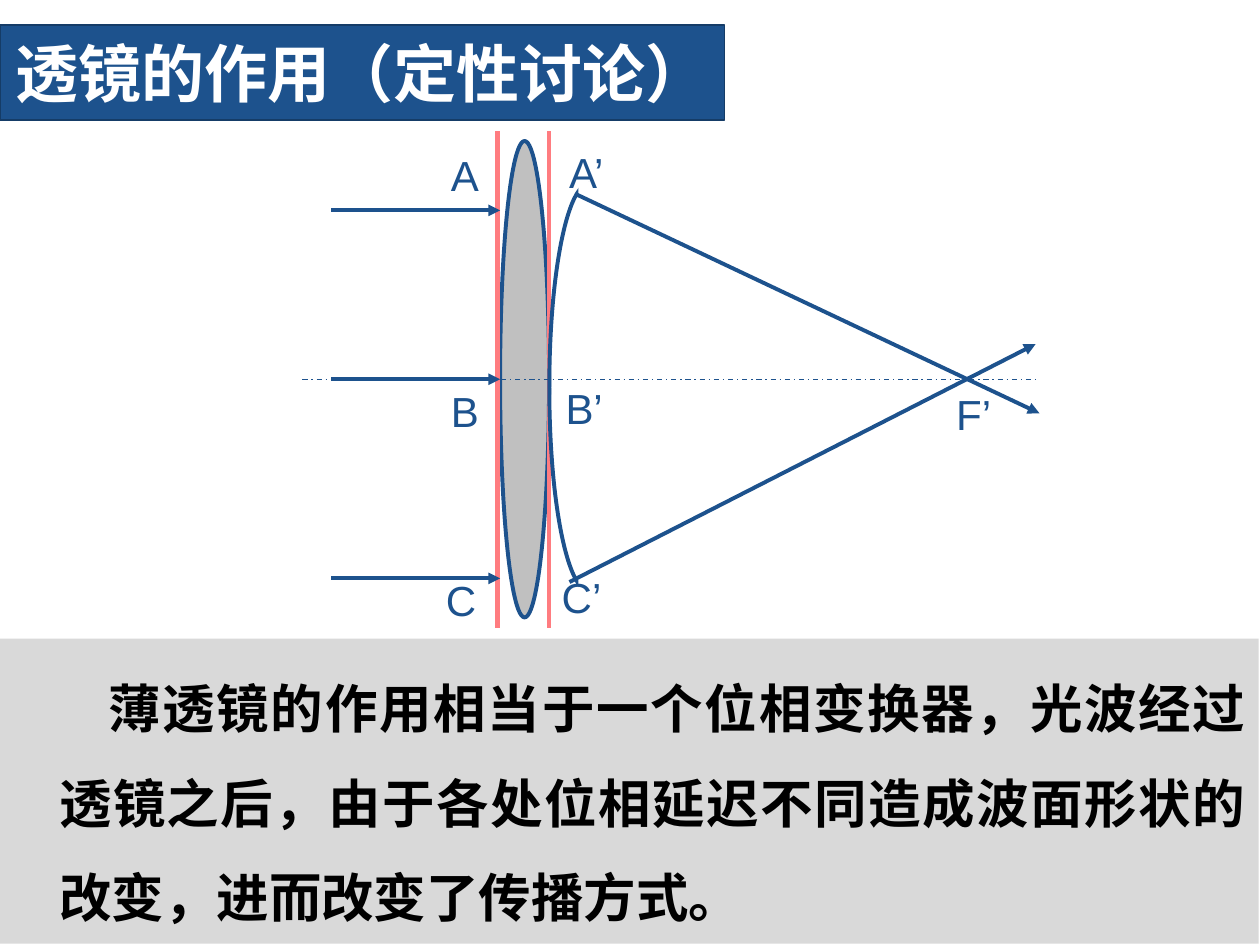
from dataclasses import dataclass
from typing import Optional

import lxml.etree
import pptx
import pptx.dml.color
import pptx.enum.dml
import pptx.enum.shapes
import pptx.enum.text
import pptx.oxml.ns
import pptx.util

Pt = pptx.util.Pt
qn = pptx.oxml.ns.qn
Align = pptx.enum.text.PP_ALIGN
Anchor = pptx.enum.text.MSO_ANCHOR
Preset = pptx.enum.shapes.MSO_SHAPE


@dataclass(frozen=True)
class Theme:
    blue: str = "1D528D"
    title_edge: str = "153C67"
    pink: str = "FF7C80"
    lens: str = "C0C0C0"
    panel: str = "D9D9D9"
    white: str = "FFFFFF"
    black: str = "000000"
    heading_font: str = "DejaVu Sans"
    label_font: str = "Arial"
    title_size: float = 36
    body_size: float = 30
    label_size: float = 24
    stroke: float = 2.25


@dataclass(frozen=True)
class Box:
    left: float
    top: float
    width: float
    height: float

    def lengths(self) -> tuple:
        return Pt(self.left), Pt(self.top), Pt(self.width), Pt(self.height)


@dataclass(frozen=True)
class Line:
    start: tuple[float, float]
    end: tuple[float, float]
    color: str
    width: float = 2.25
    arrow: bool = False
    dashed: bool = False


@dataclass(frozen=True)
class Label:
    text: str
    box: Box


THEME = Theme()
AXIS_Y = 216.7
EDGE_TOP, EDGE_BOTTOM = 75, 358.6
RAY_START, RAY_END = 189.4, 285.8

TITLE_BOX = Box(0, 14.4, 414, 54)
BODY_BOX = Box(-0.7, 365, 720, 174.2)
LENS = Box(285.8, 80.6, 28, 272.2)
WAVEFRONT = Box(313.9, 105.1, 45.4, 232.6)
WAVEFRONT_COVER = Box(330.5, 103.7, 48.2, 260.6)

PLANES = [
    Line((x, EDGE_TOP), (x, EDGE_BOTTOM), THEME.pink, width)
    for x, width in ((284.4, 3), (313.9, 2.25))
]
INCOMING = [
    Line((RAY_START, y), (RAY_END, y), THEME.blue, arrow=True)
    for y in (120.2, AXIS_Y, 330.5)
]
OUTGOING = [
    Line((172.8, AXIS_Y), (591.8, AXIS_Y), THEME.blue, 0.75, dashed=True),
    Line((329, 110.9), (594, 236.2), THEME.blue, arrow=True),
    Line((325.4, 332.6), (591.8, 196.6), THEME.blue, arrow=True),
]
LABELS = [
    Label("A", Box(250.6, 82.1, 30.2, 36)),
    Label("C", Box(247.7, 324.7, 31.7, 36)),
    Label("B", Box(250.6, 216.7, 30.2, 36)),
    Label("A’", Box(318.2, 79.9, 35.3, 36)),
    Label("C’", Box(313.9, 323.3, 37.4, 36)),
    Label("B’", Box(316.1, 215.3, 36, 36)),
    Label("F’", Box(539.3, 218.2, 34.6, 36)),
]


def rgb(color: str) -> pptx.dml.color.RGBColor:
    return pptx.dml.color.RGBColor.from_string(color)


def set_attributes(target, values: dict) -> None:
    for name, value in values.items():
        setattr(target, name, value)


def paint(shape, fill: Optional[str], edge: Optional[str], width: float = THEME.stroke) -> None:
    if fill:
        shape.fill.solid()
        shape.fill.fore_color.rgb = rgb(fill)
    else:
        shape.fill.background()
    if edge:
        shape.line.color.rgb = rgb(edge)
        shape.line.width = Pt(width)
    else:
        shape.line.fill.background()


def write(shape, text: str, font: str, size: float, color: str, bold: bool,
          frame_format: dict, para_format: dict) -> None:
    frame = shape.text_frame
    set_attributes(frame, frame_format)
    para = frame.paragraphs[0]
    set_attributes(para, para_format)
    span = para.add_run()
    span.text = text
    set_attributes(span.font, {"name": font, "size": Pt(size), "bold": bold})
    span.font.color.rgb = rgb(color)
    east_asian = lxml.etree.SubElement(span.font._element, qn("a:ea"))
    east_asian.set("typeface", font)


def add_preset(shapes, preset, box: Box, fill: Optional[str], edge: Optional[str] = None):
    shape = shapes.add_shape(preset, *box.lengths())
    shape.shadow.inherit = False
    paint(shape, fill, edge)
    return shape


def add_line(shapes, line: Line) -> None:
    connector = shapes.add_connector(
        pptx.enum.shapes.MSO_CONNECTOR.STRAIGHT,
        *(Pt(value) for value in line.start + line.end))
    connector.line.color.rgb = rgb(line.color)
    connector.line.width = Pt(line.width)
    if line.dashed:
        connector.line.dash_style = pptx.enum.dml.MSO_LINE.DASH_DOT
    properties = connector._element.spPr
    if line.arrow:
        lxml.etree.SubElement(properties.find(qn("a:ln")), qn("a:tailEnd"), type="triangle")
    lxml.etree.SubElement(properties, qn("a:effectLst"))


def add_label(shapes, label: Label) -> None:
    box = shapes.add_textbox(*label.box.lengths())
    write(box, label.text, THEME.label_font, THEME.label_size, THEME.blue, False,
          {"word_wrap": False,
           "auto_size": pptx.enum.text.MSO_AUTO_SIZE.SHAPE_TO_FIT_TEXT}, {})


def add_title(page) -> None:
    title = page.shapes.title
    set_attributes(title, dict(zip(("left", "top", "width", "height"), TITLE_BOX.lengths())))
    paint(title, THEME.blue, THEME.title_edge, 1)
    write(title, "透镜的作用（定性讨论）", THEME.heading_font, THEME.title_size, THEME.white, True,
          {"word_wrap": True, "vertical_anchor": Anchor.MIDDLE,
           "auto_size": pptx.enum.text.MSO_AUTO_SIZE.NONE},
          {"alignment": Align.CENTER})


def add_explanation(page) -> None:
    panel = add_preset(page.shapes, Preset.RECTANGLE, BODY_BOX, THEME.panel)
    write(panel,
          "薄透镜的作用相当于一个位相变换器，光波经过透镜之后，"
          "由于各处位相延迟不同造成波面形状的改变，进而改变了传播方式。",
          THEME.heading_font, THEME.body_size, THEME.black, True,
          {"word_wrap": True, "vertical_anchor": Anchor.TOP},
          {"alignment": Align.JUSTIFY, "line_spacing": 1.5})
    indents = panel.text_frame.paragraphs[0]._p.get_or_add_pPr()
    indents.set("marL", str(Pt(27.4)))
    indents.set("indent", str(Pt(28.1)))


def add_lens_diagram(page) -> None:
    shapes = page.shapes.add_group_shape().shapes
    add_preset(shapes, Preset.OVAL, LENS, THEME.lens, THEME.blue)
    for line in PLANES + INCOMING:
        add_line(shapes, line)
    add_preset(shapes, Preset.OVAL, WAVEFRONT, None, THEME.blue)
    add_preset(shapes, Preset.RECTANGLE, WAVEFRONT_COVER, THEME.white)
    for line in OUTGOING:
        add_line(shapes, line)
    for label in LABELS:
        add_label(shapes, label)


def main() -> None:
    deck = pptx.Presentation()
    set_attributes(deck, {"slide_width": Pt(720), "slide_height": Pt(540)})
    page = deck.slides.add_slide(deck.slide_layouts[5])
    add_title(page)
    add_explanation(page)
    add_lens_diagram(page)
    deck.save("out.pptx")


if __name__ == "__main__":
    main()
